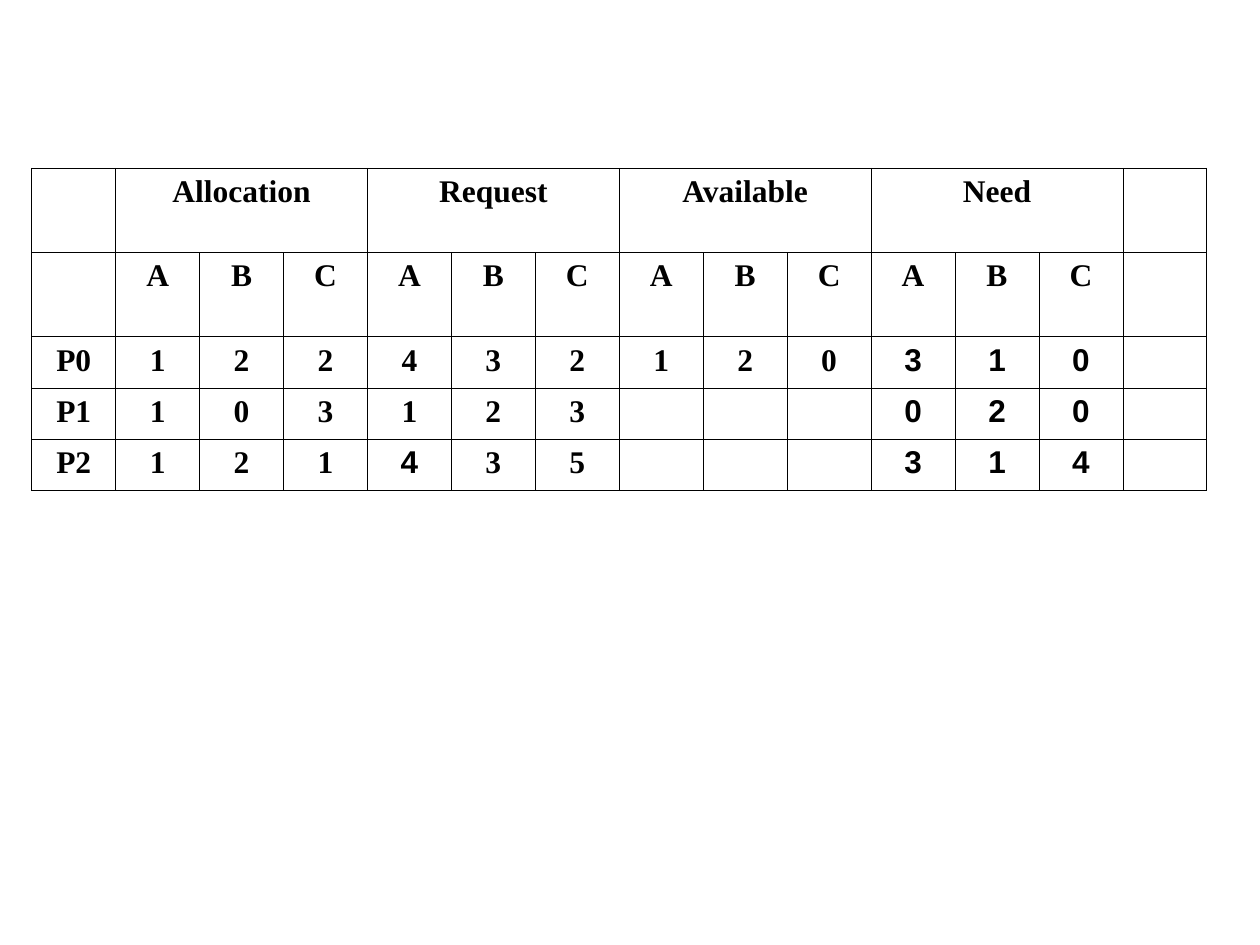
from lxml.etree import SubElement
from pptx import Presentation
from pptx.dml.color import RGBColor
from pptx.enum.text import PP_ALIGN
from pptx.oxml.ns import qn
from pptx.util import Cm, Pt

GROUPS = ["Allocation", "Request", "Available", "Need"]
RESOURCES = ["A", "B", "C"]
PROCESSES = [
    ("P0", "122", "432", "120", "310"),
    ("P1", "103", "123", "", "020"),
    ("P2", "121", "435", "", "314"),
]
ROW_HEIGHTS = [1.7, 1.7, 1.02, 1.02, 1.02]
TABLE_LEFT, TABLE_TOP, TABLE_WIDTH = 0.64, 3.39, 23.7
BLACK = RGBColor(0, 0, 0)
SERIF, SANS = "Times New Roman", "Arial"
SPAN = len(RESOURCES)
NEED_START = 1 + GROUPS.index("Need") * SPAN
REQUEST_START = 1 + GROUPS.index("Request") * SPAN
COLUMN_COUNT = len(GROUPS) * SPAN + 2
SANS_CELLS = {(row, NEED_START + step) for row in (2, 3, 4) for step in range(SPAN)}
SANS_CELLS.add((4, REQUEST_START))


def add_borders(cell):
    properties = cell._tc.get_or_add_tcPr()
    for side in ("a:lnL", "a:lnR", "a:lnT", "a:lnB"):
        line = SubElement(properties, qn(side), w=str(Pt(0.45)))
        fill = SubElement(line, qn("a:solidFill"))
        SubElement(fill, qn("a:srgbClr"), val=str(BLACK))


def write_cell(cell, text, font_name):
    para = cell.text_frame.paragraphs[0]
    para.alignment = PP_ALIGN.CENTER
    span = para.add_run()
    span.text = text
    span.font.name = font_name
    span.font.size = Pt(18)
    span.font.bold = True
    span.font.color.rgb = BLACK


def table_rows():
    header = [""]
    for group in GROUPS:
        header += [group] + [""] * (SPAN - 1)
    rows = [header + [""], [""] + RESOURCES * len(GROUPS) + [""]]
    for name, *values in PROCESSES:
        digits = "".join(value.ljust(SPAN) for value in values)
        rows.append([name] + [digit.strip() for digit in digits] + [""])
    return rows


def main():
    deck = Presentation()
    deck.slide_width, deck.slide_height = Cm(25.4), Cm(19.05)
    page = deck.slides.add_slide(deck.slide_layouts[6])
    rows = table_rows()
    table = page.shapes.add_table(
        len(rows), COLUMN_COUNT, Cm(TABLE_LEFT), Cm(TABLE_TOP),
        Cm(TABLE_WIDTH), Cm(sum(ROW_HEIGHTS))).table
    table.first_row = table.horz_banding = False
    for column in table.columns:
        column.width = Cm(TABLE_WIDTH / COLUMN_COUNT)
    for row, height in zip(table.rows, ROW_HEIGHTS):
        row.height = Cm(height)
    for start in range(1, COLUMN_COUNT - 1, SPAN):
        table.cell(0, start).merge(table.cell(0, start + SPAN - 1))

    for row_index, row in enumerate(rows):
        for column_index, text in enumerate(row):
            cell = table.cell(row_index, column_index)
            add_borders(cell)
            cell.fill.background()
            if text:
                is_sans = (row_index, column_index) in SANS_CELLS
                write_cell(cell, text, SANS if is_sans else SERIF)
    deck.save("out.pptx")


if __name__ == "__main__":
    main()
